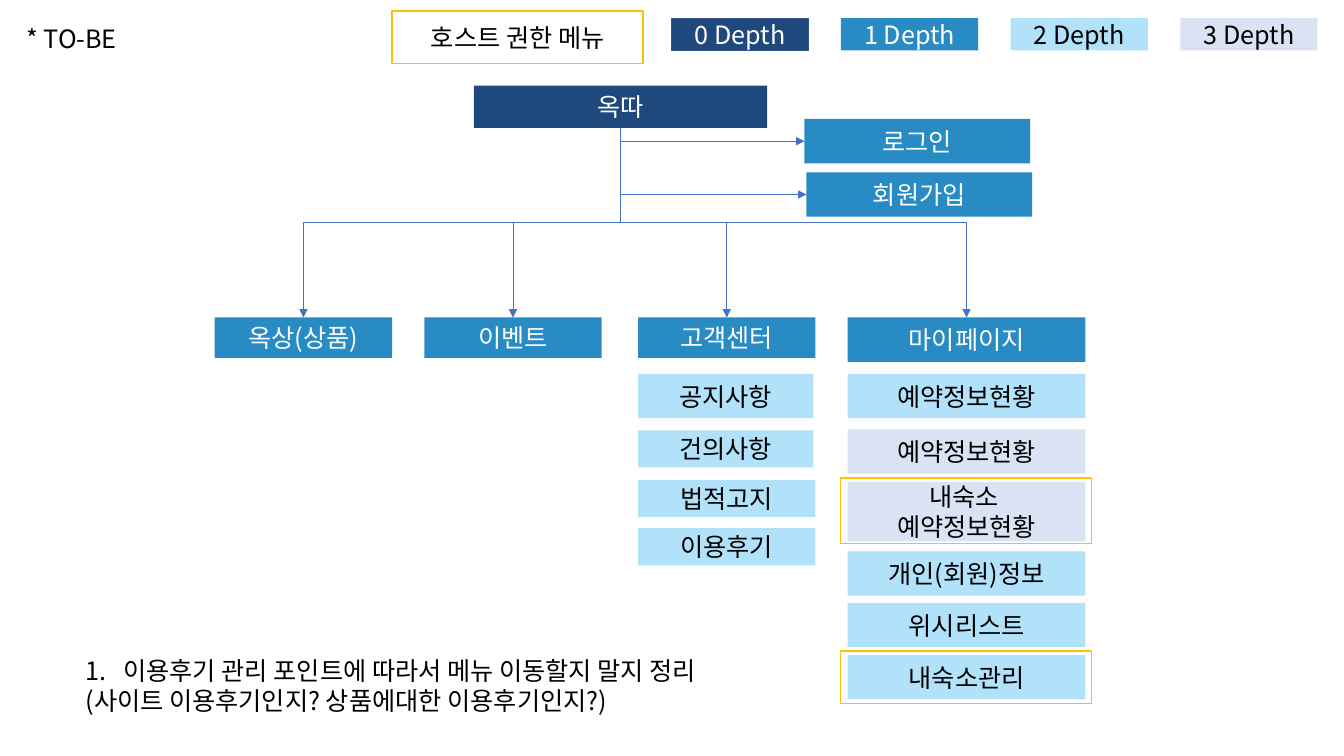
from dataclasses import dataclass

from lxml import etree
from pptx import Presentation
from pptx import util as u
from pptx.dml import color
from pptx.enum import shapes, text
from pptx.oxml import ns

FONT = "Noto Sans CJK KR"
NAVY, BLUE, SKY, LAVENDER = "1F497D", "288BC4", "B1E2FA", "DAE3F3"
WHITE, BLACK, GOLD, LINE = "FFFFFF", "000000", "FFC000", "4472C4"
INK = {NAVY: WHITE, BLUE: WHITE}


@dataclass
class Box:
    """A menu box or outline frame, with lengths in points."""
    label: str
    x: float
    y: float
    w: float
    h: float
    fill: str = ""
    line: str = ""


def rgb(value: str) -> color.RGBColor:
    return color.RGBColor.from_string(value)


def write(tf, lines: list[str], ink: str, align) -> None:
    for i, line in enumerate(lines):
        p = tf.paragraphs[0] if i == 0 else tf.add_paragraph()
        p.alignment = align
        r = p.add_run()
        r.text = line
        r.font.size = u.Pt(18)
        r.font.name = FONT
        r.font.color.rgb = rgb(ink)
        etree.SubElement(r.font._element, ns.qn("a:ea"), typeface=FONT)


def place(sp, x: float, y: float, w: float, h: float) -> None:
    sp.left, sp.top, sp.width, sp.height = map(u.Pt, (x, y, w, h))


def write_free(sp, lines: list[str]) -> None:
    tf = sp.text_frame
    tf.word_wrap = False
    tf.auto_size = text.MSO_AUTO_SIZE.SHAPE_TO_FIT_TEXT
    tf.vertical_anchor = text.MSO_ANCHOR.TOP
    write(tf, lines, BLACK, text.PP_ALIGN.LEFT)


def draw_box(s, box: Box):
    sp = s.shapes.add_shape(shapes.MSO_SHAPE.RECTANGLE, *map(u.Pt, (box.x, box.y, box.w, box.h)))
    sp.shadow.inherit = False
    if box.fill:
        sp.fill.solid()
        sp.fill.fore_color.rgb = rgb(box.fill)
    else:
        sp.fill.background()
    if box.line:
        sp.line.color.rgb = rgb(box.line)
        sp.line.width = u.Pt(1)
    else:
        sp.line.fill.background()
    if box.label:
        sp.text_frame.word_wrap = True
        sp.text_frame.vertical_anchor = text.MSO_ANCHOR.MIDDLE
        write(sp.text_frame, box.label.split("\n"), INK.get(box.fill, BLACK), text.PP_ALIGN.CENTER)
    return sp


def draw_branch(s, parent, child, side: int) -> None:
    """Join the parent's bottom to a child's top (0) or left (1) with a turned elbow."""
    c = s.shapes.add_connector(shapes.MSO_CONNECTOR.ELBOW, 0, 0, 0, 0)
    c.begin_connect(parent, 2)
    c.end_connect(child, side)
    x1, y1, x2, y2 = c.begin_x, c.begin_y, c.end_x, c.end_y
    run, drop = abs(x2 - x1), y2 - y1
    xfrm = c._element.spPr.find(ns.qn("a:xfrm"))
    xfrm.attrib.clear()
    c.left, c.top = (x1 + x2 - drop) // 2, (y1 + y2 - run) // 2
    c.width, c.height = drop, run
    if x2 < x1:
        xfrm.set("rot", "5400000")
    else:
        xfrm.set("rot", "16200000")
        xfrm.set("flipH", "1")
    if side == 1:
        c._element.spPr.find(ns.qn("a:prstGeom")).set("prst", "bentConnector2")
    c.line.color.rgb = rgb(LINE)
    c.line.width = u.Pt(0.5)
    etree.SubElement(c.line._get_or_add_ln(), ns.qn("a:tailEnd"), type="triangle")
    etree.SubElement(c._element.spPr, ns.qn("a:effectLst"))


ROOT = Box("옥따", 338.4, 61.2, 209.5, 30.2, NAVY)
ACCOUNT = [
    Box("로그인", 574.6, 85, 161.3, 31.7, BLUE),
    Box("회원가입", 576, 123.1, 161.3, 31.7, BLUE),
]
SUPPORT_X, MY_X, MY_W = 455.8, 605.5, 169.9
SECTIONS = [
    Box("옥상(상품)", 153.4, 226.8, 126.7, 28.8, BLUE),
    Box("이벤트", 303.1, 226.8, 126.7, 28.8, BLUE),
    Box("고객센터", SUPPORT_X, 226.8, 126.7, 28.8, BLUE),
    Box("마이페이지", MY_X, 226.8, MY_W, 31.7, BLUE),
]
SUPPORT = [Box(label, SUPPORT_X, y, w, h, SKY) for label, y, w, h in (
    ("공지사항", 267.1, 125.3, 31.7),
    ("건의사항", 307.4, 125.3, 26.6),
    ("법적고지", 342.7, 126.7, 26.6),
    ("이용후기", 377.3, 126.7, 26.6),
)]
MY_PAGE = [Box(label, MY_X, y, MY_W, h, fill) for label, y, h, fill in (
    ("예약정보현황", 267.1, 31.7, SKY),
    ("예약정보현황", 306.7, 31.7, LAVENDER),
    ("내숙소 \n예약정보현황", 344.2, 42.5, LAVENDER),
    ("개인(회원)정보", 393.8, 31.7, SKY),
    ("위시리스트", 430.6, 31.7, SKY),
    ("내숙소관리", 468, 31.7, SKY),
)]
HOST_FRAMES = [Box(label, x, y, 179.3, h, line=GOLD) for label, x, y, h in (
    ("호스트 권한 메뉴", 280.1, 7.9, 37.4),
    ("", 600.5, 341.3, 46.8),
    ("", 600.5, 465.1, 37.4),
)]
LEGEND = [Box(f"{i} Depth", 479.5 + 121.2 * i, 13, 98, 23, fill, "" if i else "325491")
          for i, fill in enumerate((NAVY, BLUE, SKY, LAVENDER))]


def main() -> None:
    prs = Presentation()
    prs.slide_width, prs.slide_height = u.Pt(960), u.Pt(540)
    s = prs.slides.add_slide(prs.slide_layouts[5])

    title = s.shapes.title
    place(title, 11.5, 13, 79.2, 28.8)
    write_free(title, ["* TO-BE"])

    root = draw_box(s, ROOT)
    for side, boxes in ((1, ACCOUNT), (0, SECTIONS)):
        for box in boxes:
            draw_branch(s, root, draw_box(s, box), side)
    for box in LEGEND + SUPPORT + MY_PAGE + HOST_FRAMES:
        draw_box(s, box)

    note = s.shapes.add_textbox(*map(u.Pt, (54, 464.4, 504.7, 51.1)))
    write_free(note, ["이용후기 관리 포인트에 따라서 메뉴 이동할지 말지 정리",
                      "(사이트 이용후기인지? 상품에대한 이용후기인지?)"])
    pPr = note.text_frame.paragraphs[0]._p.get_or_add_pPr()
    pPr.set("marL", str(u.Pt(27)))
    pPr.set("indent", str(u.Pt(-27)))
    etree.SubElement(pPr, ns.qn("a:buFont"), typeface="+mj-lt")
    etree.SubElement(pPr, ns.qn("a:buAutoNum"), type="arabicPeriod")

    prs.save("out.pptx")


if __name__ == "__main__":
    main()
